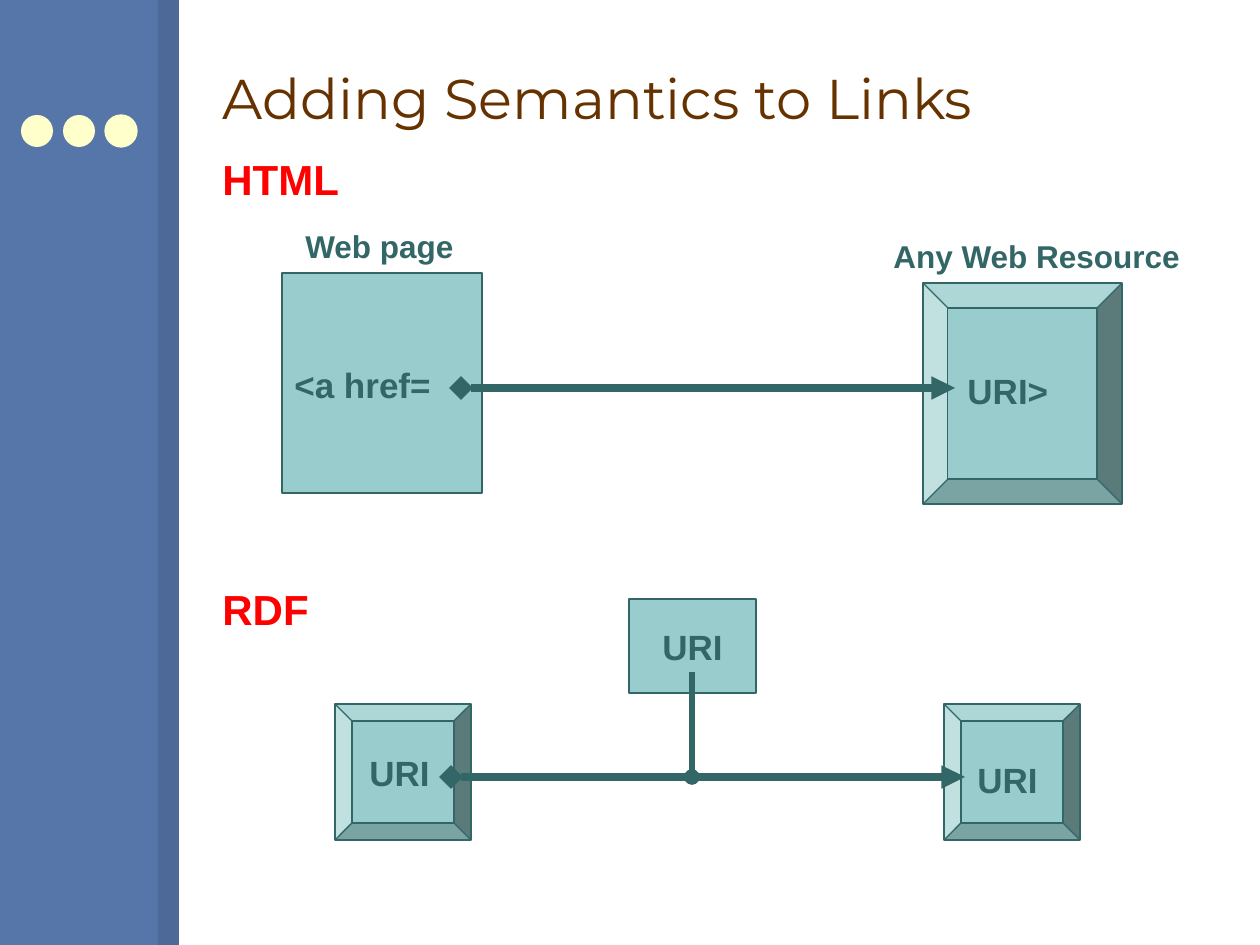
from pptx import Presentation
from pptx.dml.color import RGBColor
from pptx.enum.shapes import MSO_CONNECTOR, MSO_SHAPE
from pptx.enum.text import MSO_ANCHOR, MSO_AUTO_SIZE, PP_ALIGN
from pptx.oxml.ns import qn
from pptx.util import Emu, Inches, Pt
from lxml import etree

PX = Inches(1) / 126
COLORS = {
    "band": "5675A9",
    "band_edge": "4D6997",
    "dot": "FFFFCC",
    "title": "663300",
    "heading": "FF0000",
    "node": "99CCCC",
    "ink": "336666",
}


def px(*lengths):
    return [Emu(round(length * PX)) for length in lengths]


def rgb(name):
    return RGBColor.from_string(COLORS[name])


def add_block(shapes, preset, box, fill, line=None):
    block = shapes.add_shape(preset, *px(*box))
    block.shadow.inherit = False
    block.fill.solid()
    block.fill.fore_color.rgb = rgb(fill)
    if line:
        block.line.color.rgb = rgb(line)
        block.line.width = Pt(0.75)
    else:
        block.line.fill.background()


def add_node(shapes, preset, box):
    add_block(shapes, preset, box, "node", "ink")


def set_font(paragraph, name, size, color, bold=False):
    font = paragraph.font
    font.name = name
    font.size = Pt(size)
    font.bold = bold
    font.color.rgb = rgb(color)


def add_label(shapes, text, box, size=20, color="ink"):
    label = shapes.add_textbox(*px(*box))
    frame = label.text_frame
    frame.word_wrap = False
    frame.auto_size = MSO_AUTO_SIZE.SHAPE_TO_FIT_TEXT
    frame.text = text
    set_font(frame.paragraphs[0], "Arial", size, color, bold=True)


def add_link(shapes, start, end, width, head, tail=None):
    """Draw a line with the given marks at its start (head) and end (tail)."""
    link = shapes.add_connector(MSO_CONNECTOR.STRAIGHT, *px(*start, *end))
    link.line.color.rgb = rgb("ink")
    link.line.width = Pt(width)
    outline = link.line._get_or_add_ln()
    for tag, mark in (("a:headEnd", head), ("a:tailEnd", tail)):
        if mark:
            etree.SubElement(outline, qn(tag), type=mark)
    etree.SubElement(link._element.spPr, qn("a:effectLst"))


def add_side_band(shapes):
    add_block(shapes, MSO_SHAPE.RECTANGLE, (0, 0, 158, 945), "band")
    add_block(shapes, MSO_SHAPE.RECTANGLE, (158, 0, 21, 945), "band_edge")
    for index, line in enumerate((None, None, "dot")):
        box = (21 + 42 * index, 115, 32, 32)
        add_block(shapes, MSO_SHAPE.OVAL, box, "dot", line)


def add_title(slide, text):
    title = slide.shapes.title
    title.left, title.top, title.width, title.height = px(210, 26, 1008, 142)
    frame = title.text_frame
    frame.text = text
    frame.vertical_anchor = MSO_ANCHOR.MIDDLE
    paragraph = frame.paragraphs[0]
    paragraph.alignment = PP_ALIGN.LEFT
    set_font(paragraph, "Montserrat", 32, "title")


def add_html_diagram(shapes):
    add_node(shapes, MSO_SHAPE.BEVEL, (923, 283, 199, 221))
    add_node(shapes, MSO_SHAPE.RECTANGLE, (282, 273, 200, 220))
    add_label(shapes, "<a href=", (282, 357, 166, 55))
    add_link(shapes, (461, 388), (955, 388), 4.5, "diamond", "triangle")
    add_label(shapes, "URI>", (955, 363, 110, 55))
    add_label(shapes, "Web page", (293, 221, 178, 50), 18)
    add_label(shapes, "Any Web Resource", (881, 231, 316, 50), 18)
    add_label(shapes, "HTML", (210, 147, 150, 63), 24, "heading")


def add_rdf_diagram(shapes):
    add_node(shapes, MSO_SHAPE.RECTANGLE, (629, 599, 127, 94))
    for left in (944, 335):
        add_node(shapes, MSO_SHAPE.BEVEL, (left, 704, 136, 136))
    add_label(shapes, "URI", (357, 745, 90, 55))
    add_link(shapes, (451, 777), (965, 777), 4.5, "diamond", "triangle")
    add_label(shapes, "URI", (965, 752, 90, 55))
    add_label(shapes, "URI", (650, 619, 90, 55))
    add_link(shapes, (692, 777), (692, 672), 3, "oval")
    add_label(shapes, "RDF", (210, 577, 120, 63), 24, "heading")


def main():
    deck = Presentation()
    deck.slide_width, deck.slide_height = px(1260, 945)
    slide = deck.slides.add_slide(deck.slide_layouts[5])
    add_side_band(slide.shapes)
    add_title(slide, "Adding Semantics to Links")
    for add_diagram in (add_html_diagram, add_rdf_diagram):
        add_diagram(slide.shapes.add_group_shape().shapes)
    deck.save("out.pptx")


if __name__ == "__main__":
    main()
